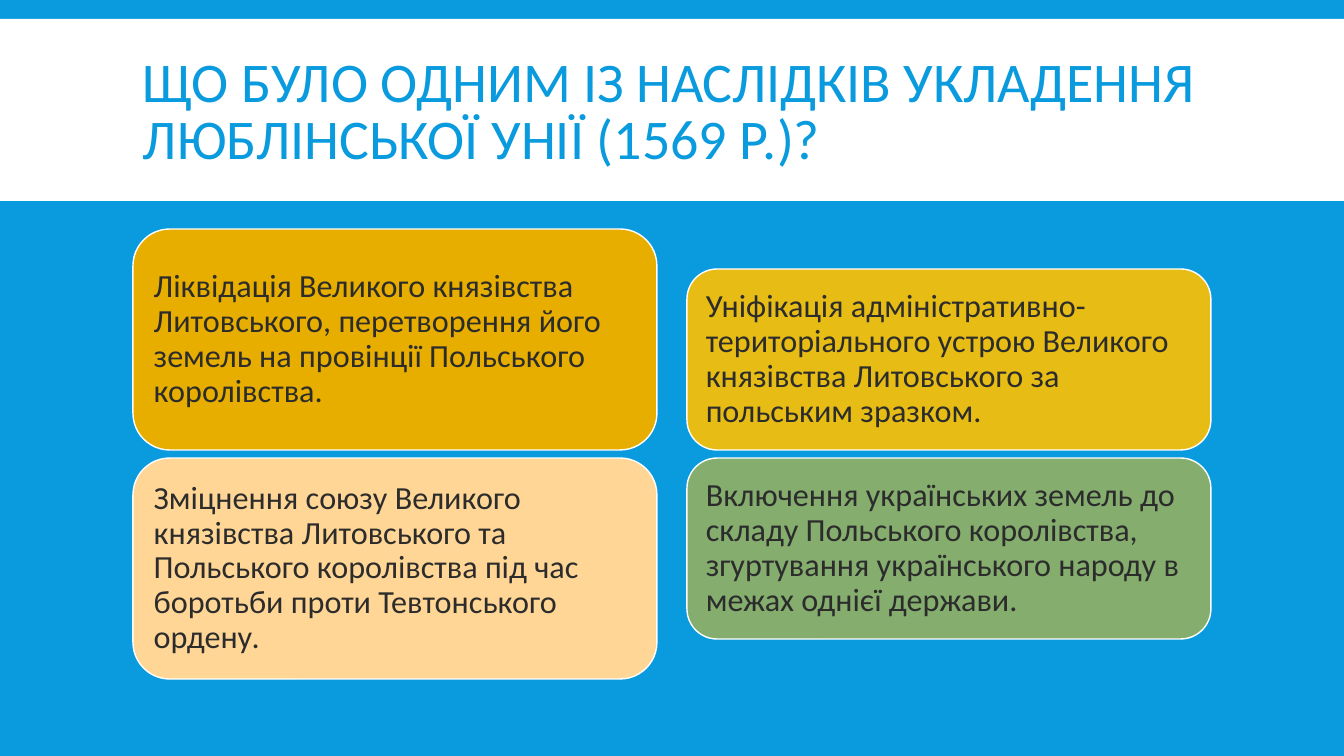
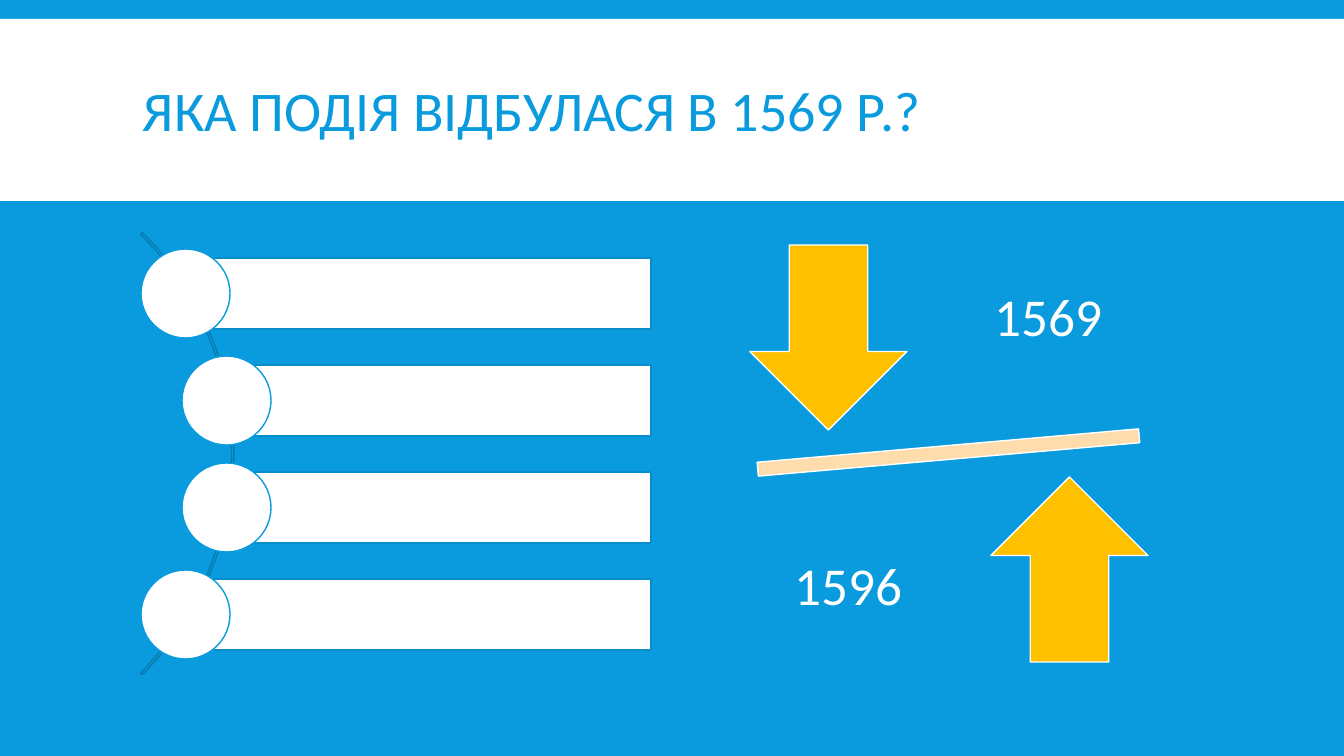
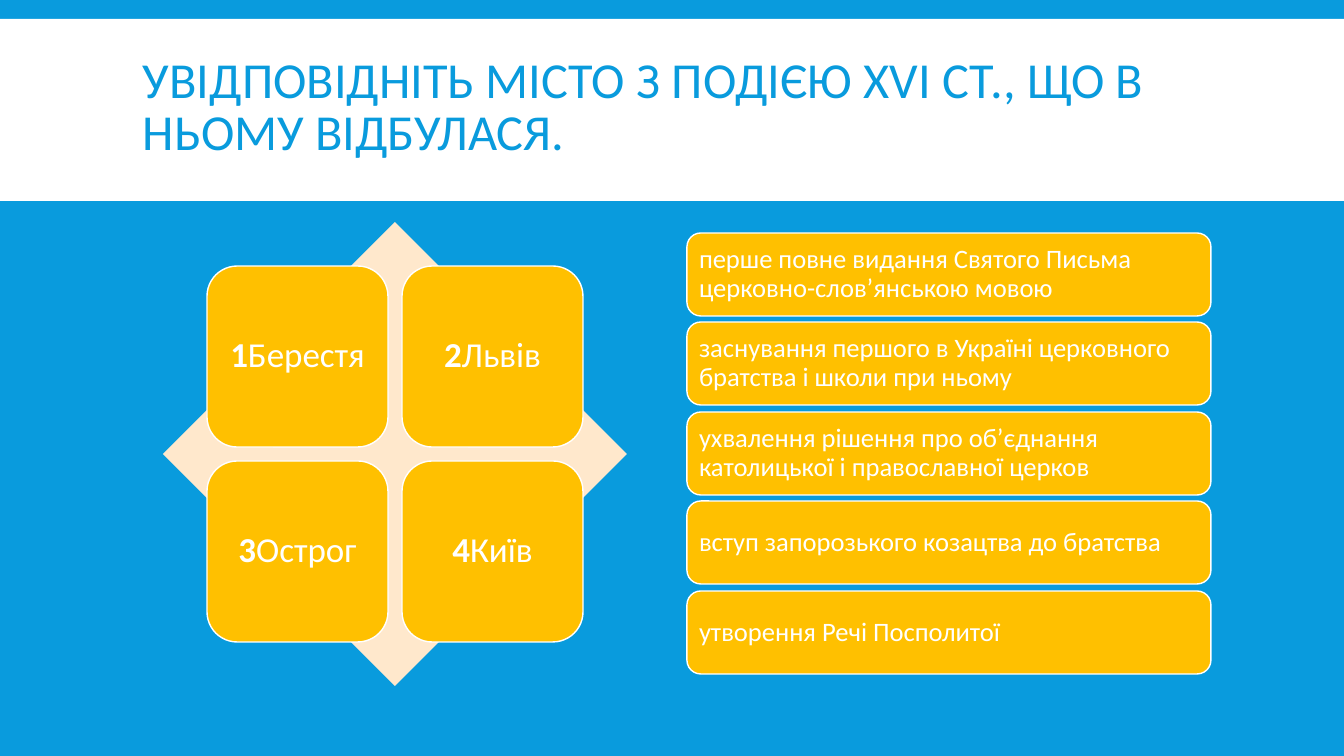
from pptx import Presentation
from pptx.dml.color import RGBColor
from pptx.enum.shapes import MSO_SHAPE as Preset
from pptx.enum.text import MSO_ANCHOR as Anchor, MSO_AUTO_SIZE as AutoSize, PP_ALIGN as Align
from pptx.oxml.ns import qn
from pptx.util import Pt
from lxml.etree import SubElement

SLIDE_WIDTH = 1344
SLIDE_HEIGHT = 756
EMU_PER_PX = 12192000 / SLIDE_WIDTH
LEFT_COLUMN = 133
RIGHT_COLUMN = 687
COLUMN_WIDTH = 524
COLORS = {
    "blue": "099BDD",
    "white": "FFFFFF",
    "ink": "2C2C2C",
    "amber": "FFC000",
    "gold": "E7AE00",
    "peach": "FFD695",
    "beam": "FFDCAB",
    "cream": "FFE8CC",
    "arc": "077CB1",
    "bar edge": "088DC9",
}


def px(length):
    return round(length * EMU_PER_PX)


def rgb(name):
    return RGBColor.from_string(COLORS[name])


class Deck:
    font_name = "Calibri"

    def __init__(self):
        self.presentation = Presentation()
        self.presentation.slide_width = px(SLIDE_WIDTH)
        self.presentation.slide_height = px(SLIDE_HEIGHT)
        background = self.presentation.slide_master.background.fill
        background.solid()
        background.fore_color.rgb = rgb("blue")
        self.layout = self.presentation.slide_layouts[5]
        self.slide = None

    def add_slide(self, title, size=40, top=31):
        first = self.slide is None
        self.slide = self.presentation.slides.add_slide(self.layout)
        if first:
            band = self.shape(Preset.RECTANGLE, (0, 19, SLIDE_WIDTH, 182), "white", None)
            self.layout.shapes.element.insert(2, band.element)
        shape = self.slide.shapes.title
        self.place(shape, (LEFT_COLUMN, top, 1079, 166))
        shape.text_frame.text = title
        self.format_text(shape, size, "blue", Align.LEFT, 0.85)

    def place(self, shape, box):
        shape.left, shape.top, shape.width, shape.height = map(px, box)

    def shape(self, preset, box, fill, line="white", opacity=100):
        shape = self.slide.shapes.add_shape(preset, *map(px, box))
        shape.shadow.inherit = False
        if fill:
            shape.fill.solid()
            shape.fill.fore_color.rgb = rgb(fill)
        else:
            shape.fill.background()
        if opacity < 100:
            color = shape.element.spPr.find(qn("a:solidFill"))[0]
            SubElement(color, qn("a:alpha")).set("val", str(opacity * 1000))
        if line:
            shape.line.color.rgb = rgb(line)
            shape.line.width = Pt(1)
        else:
            shape.line.fill.background()
        return shape

    def card(self, box, text, size, fill="amber", color="white",
             align=Align.LEFT, inset=10, opacity=100, number=None):
        shape = self.shape(Preset.ROUNDED_RECTANGLE, box, fill, opacity=opacity)
        paragraph = shape.text_frame.paragraphs[0]
        if number:
            paragraph.text = str(number)
            paragraph.add_run().text = text
        else:
            paragraph.text = text
        self.format_text(shape, size, color, align, inset=inset)
        if number:
            paragraph.runs[0].font.bold = True

    def label(self, box, text, size):
        shape = self.slide.shapes.add_textbox(*map(px, box))
        shape.text_frame.text = text
        self.format_text(shape, size, "white", Align.CENTER)

    def format_text(self, shape, size, color, align, spacing=0.9, inset=10):
        frame = shape.text_frame
        frame.word_wrap = True
        frame.auto_size = AutoSize.NONE
        frame.vertical_anchor = Anchor.MIDDLE
        frame.margin_left = frame.margin_right = px(inset)
        frame.margin_top = frame.margin_bottom = px(min(inset, 5))
        for paragraph in frame.paragraphs:
            paragraph.alignment = align
            paragraph.line_spacing = spacing
            for run in paragraph.runs:
                run.font.name = self.font_name
                run.font.size = Pt(size)
                run.font.color.rgb = rgb(color)


def add_union_results(deck):
    deck.add_slide("ЩО БУЛО ОДНИМ ІЗ НАСЛІДКІВ УКЛАДЕННЯ ЛЮБЛІНСЬКОЇ УНІЇ (1569 Р.)?")
    lower_top, gap = 458, 8
    columns = [
        (LEFT_COLUMN, 221, [
            ("Ліквідація Великого князівства Литовського, перетворення його земель "
             "на провінції Польського королівства.", "gold", 100),
            ("Зміцнення союзу Великого князівства Литовського та Польського королівства "
             "під час боротьби проти Тевтонського ордену.", "peach", 100),
        ]),
        (RIGHT_COLUMN, 181, [
            ("Уніфікація адміністративно-територіального устрою Великого князівства "
             "Литовського за польським зразком.", "amber", 90),
            ("Включення українських земель до складу Польського королівства, "
             "згуртування українського народу в межах однієї держави.", "amber", 50),
        ]),
    ]
    for left, height, answers in columns:
        tops = (lower_top - gap - height, lower_top)
        for top, (text, fill, opacity) in zip(tops, answers):
            deck.card((left, top, COLUMN_WIDTH, height), text, 23, fill, "ink", opacity=opacity)


def add_event_of_year(deck):
    deck.add_slide("ЯКА ПОДІЯ ВІДБУЛАСЯ В 1569 Р.?")
    arc = deck.shape(Preset.BLOCK_ARC, (-391, 141, 625, 625), None, "arc")
    for index, value in enumerate((189, 27, 0.004)):
        arc.adjustments[index] = value
    bar_right = 651
    for row, center in enumerate((185, 226, 226, 185)):
        top = 258 + 107 * row
        deck.shape(Preset.RECTANGLE, (center, top, bar_right - center, 71), "white", "bar edge")
        deck.shape(Preset.OVAL, (center - 44, top - 9, 89, 89), "white", "blue")
    beam = deck.shape(Preset.MATH_MINUS, (688, 423, 521, 59), "beam")
    beam.rotation = 355
    deck.shape(Preset.DOWN_ARROW, (750, 245, 157, 185), "amber")
    deck.shape(Preset.UP_ARROW, (991, 477, 157, 185), "amber")
    deck.label((965, 222, 167, 195), "1569", 38)
    deck.label((765, 491, 167, 195), "1596", 38)


def add_city_matching(deck):
    deck.add_slide("УВІДПОВІДНІТЬ МІСТО З ПОДІЄЮ ХVI СТ., ЩО В НЬОМУ ВІДБУЛАСЯ.", 36, 26)
    deck.shape(Preset.DIAMOND, (163, 222, 464, 464), "cream", None)
    for index, city in enumerate(("Берестя", "Львів", "Острог", "Київ")):
        row, column = divmod(index, 2)
        box = (207 + 195 * column, 266 + 195 * row, 181, 181)
        deck.card(box, city, 25, align=Align.CENTER, number=index + 1)
    events = [
        "перше повне видання Святого Письма церковно-слов’янською мовою",
        "заснування першого в Україні церковного братства і школи при ньому",
        "ухвалення рішення про об’єднання католицької і православної церков",
        "вступ запорозького козацтва до братства",
        "утворення Речі Посполитої",
    ]
    first_top, last_top = 233, 591
    for index, event in enumerate(events):
        top = first_top + (last_top - first_top) * index // (len(events) - 1)
        deck.card((RIGHT_COLUMN, top, COLUMN_WIDTH, 83), event, 19, inset=8)


def main():
    deck = Deck()
    add_union_results(deck)
    add_event_of_year(deck)
    add_city_matching(deck)
    deck.presentation.save("out.pptx")


if __name__ == "__main__":
    main()
